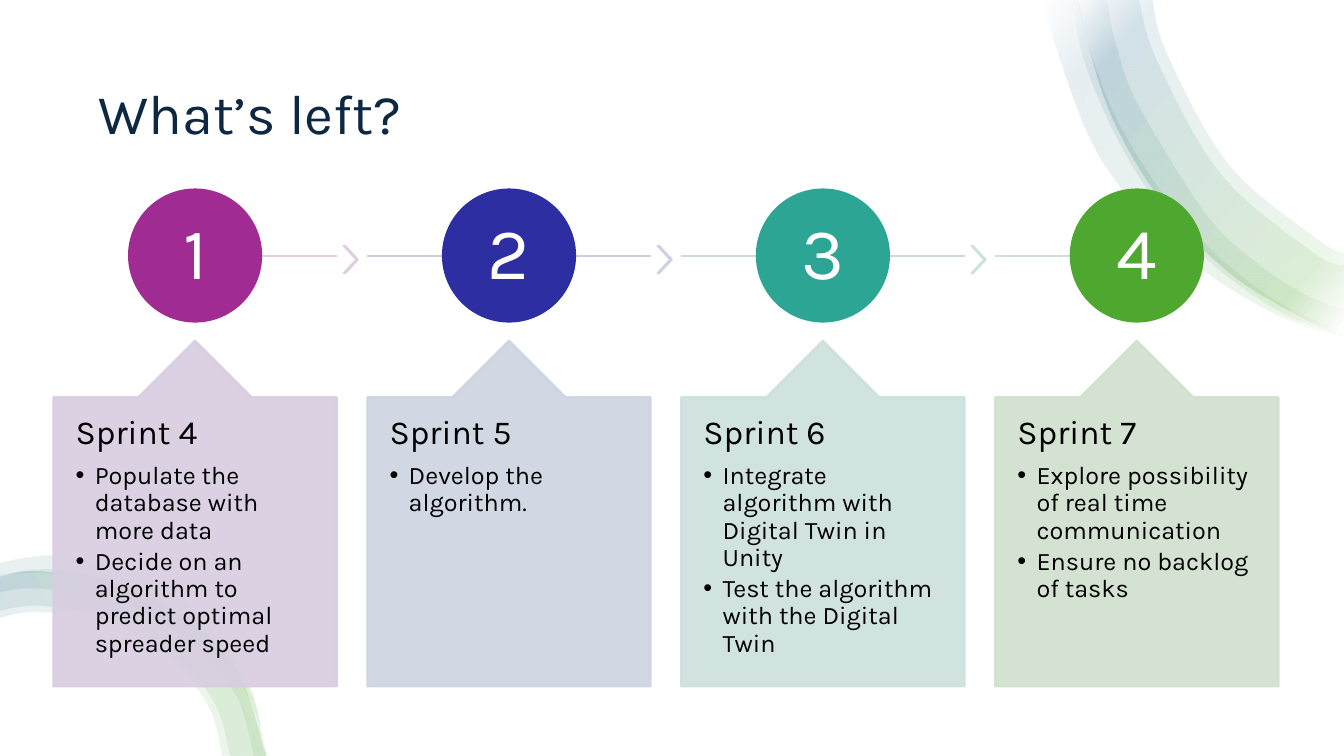
"""Build the "What's left?" slide: four numbered sprints over pale ribbons."""
from lxml.etree import SubElement
from pptx import Presentation
from pptx.dml.color import RGBColor
from pptx.enum.shapes import MSO_CONNECTOR as LINK, MSO_SHAPE as SHAPE
from pptx.enum.text import MSO_ANCHOR as ANCHOR, MSO_AUTO_SIZE as FIT, PP_ALIGN as ALIGN
from pptx.oxml import parse_xml
from pptx.oxml.ns import nsdecls, qn
from pptx.util import Inches, Pt

FONT = "Karla"
NAVY = RGBColor(0x0E, 0x28, 0x41)
BLACK = RGBColor(0, 0, 0)
WHITE = RGBColor(255, 255, 255)
PURPLE = RGBColor(0xA0, 0x2B, 0x93)
INDIGO = RGBColor(0x2C, 0x2E, 0xA2)
TEAL = RGBColor(0x2D, 0xA5, 0x94)
GREEN = RGBColor(0x4E, 0xA7, 0x2E)
BLUE = RGBColor(0x15, 0x60, 0x82)
LILAC = RGBColor(0xD8, 0xCD, 0xE0)
MIST = RGBColor(0xCD, 0xD4, 0xE0)
MINT = RGBColor(0xCD, 0xE1, 0xDC)
SAGE = RGBColor(0xD0, 0xE1, 0xCD)
LINES = [RGBColor(0xDF, 0xCD, 0xDC), RGBColor(0xD2, 0xCD, 0xE0),
         RGBColor(0xCD, 0xD9, 0xE0), RGBColor(0xCD, 0xE1, 0xD6)]
HEADS = [RGBColor(0xDD, 0xCD, 0xDF), RGBColor(0xCD, 0xCE, 0xE0),
         RGBColor(0xCD, 0xDF, 0xE0), None]

TOP = [(10.69, 0), (10.99, 1.07), (11.52, 2), (12.23, 2.74), (13.09, 3.24), (13.33, 3.32)]
LOW = [(2.63, 7.5), (2.36, 6.69), (1.85, 6.16), (1.17, 5.8), (0.4, 5.67), (0, 5.72)]
BANDS = [
    (220, [(10.38, 0), (10.41, 0.26), (10.78, 1.31), (11.16, 1.92), (11.65, 2.45),
           (12.21, 2.87), (12.82, 3.19), (13.33, 3.35)],
     [(13.33, 3.28), (12.86, 3.1), (12.3, 2.73), (11.81, 2.27), (11.4, 1.73),
      (11.06, 1.15), (10.82, 0.52), (10.7, 0)]),
    (220, TOP, [(13.33, 2.51), (13.07, 2.38), (12.19, 1.64), (11.58, 0.55), (11.43, 0)]),
    (220, [(10.65, 0), (10.74, 0.55), (10.99, 1.19), (11.32, 1.79), (11.73, 2.33),
           (12.23, 2.79), (12.79, 3.14), (13.33, 3.33)],
     [(13.33, 3.08), (12.9, 2.9), (12.39, 2.55), (11.95, 2.11), (11.29, 1.04),
      (11.07, 0.44), (10.98, 0)]),
    (220, TOP, [(13.33, 2.64), (13.01, 2.5), (12.1, 1.72), (11.47, 0.59), (11.3, 0)]),
    (160, LOW, [(0, 6.13), (0.4, 6.07), (1.07, 6.19), (1.66, 6.52), (2.06, 7), (2.2, 7.5)]),
    (160, LOW, [(0, 6.06), (0.4, 6.01), (1.09, 6.13), (1.7, 6.47), (2.12, 6.97), (2.28, 7.5)]),
    (160, [(2.63, 7.5), (2.47, 6.85), (2.03, 6.27), (1.42, 5.87), (0.69, 5.67),
           (0.31, 5.66), (0, 5.71)],
     [(0, 5.88), (0.33, 5.84), (1.01, 5.91), (1.34, 6.03), (1.92, 6.39),
      (2.34, 6.91), (2.51, 7.5)]),
    (160, [(2.64, 7.5), (2.5, 6.87), (2.33, 6.53), (1.96, 6.09), (1.48, 5.75),
           (0.71, 5.53), (0.31, 5.53), (0, 5.59)],
     [(0, 5.72), (0.32, 5.68), (0.87, 5.73), (1.39, 5.91), (2, 6.31),
      (2.36, 6.73), (2.58, 7.22), (2.62, 7.5)]),
]
STOPS = [(2, WHITE), (16, GREEN), (85, BLUE), (100, WHITE)]

SPRINTS = [
    ("Sprint 4", PURPLE, LILAC, ["Populate the database with more data",
                                 "Decide on an algorithm to predict optimal spreader speed"]),
    ("Sprint 5", INDIGO, MIST, ["Develop the algorithm."]),
    ("Sprint 6", TEAL, MINT, ["Integrate algorithm with Digital Twin in Unity",
                              "Test the algorithm with the Digital Twin"]),
    ("Sprint 7", GREEN, SAGE, ["Explore possibility of real time communication",
                               "Ensure no backlog of tasks"]),
]


def bend(legs, knots):
    """Turn straight legs between knots into cubic curves."""
    ends = [knots[0], *knots, knots[-1]]
    for leg, a, b, c, d in zip(legs, ends, ends[1:], ends[2:], ends[3:]):
        leg.tag = qn("a:cubicBezTo")
        last = leg[0]
        x, y = int(last.get("x")), int(last.get("y"))
        pulls = [[q - r + (r - p) / 6 for p, q, r in zip(a, b, c)],
                 [(q - s) / 6 for q, s in zip(b, d)]]
        pulls[0] = [q - r + (r - p) / 6 for p, q, r in zip(a, b, c)]
        for dx, dy in pulls:
            node = SubElement(leg, qn("a:pt"), x=str(x + Inches(dx)), y=str(y + Inches(dy)))
            last.addprevious(node)


def place(kind, box, tint, alpha=100):
    """Add a preset shape with fill and line of one tint."""
    item = slide.shapes.add_shape(kind, *map(Inches, box))
    item.shadow.inherit = False
    item.fill.solid()
    item.fill.fore_color.rgb = item.line.color.rgb = tint
    item.line.width = Pt(1.5)
    if alpha < 100:
        for node in item._element.spPr.iter(qn("a:srgbClr")):
            SubElement(node, qn("a:alpha"), val=str(alpha * 1000))
    return item


deck = Presentation()
deck.slide_width, deck.slide_height = Inches(13.33), Inches(7.5)
slide = deck.slides.add_slide(deck.slide_layouts[4])
title, *bodies = slide.placeholders

back = place(SHAPE.RECTANGLE, (0, 0, 13.33, 7.5), WHITE)
back.line.fill.background()
slide.shapes._spTree.insert(2, back._element)

for angle, outer, inner in BANDS:
    start, *rest = [tuple(map(Inches, knot)) for knot in outer + inner]
    pen = slide.shapes.build_freeform(*start)
    pen.add_line_segments(rest)
    band = pen.convert_to_shape()
    band.shadow.inherit = False
    band.line.fill.background()
    band.fill.background()
    props = band._element.spPr
    legs = list(props.iter(qn("a:lnTo")))
    bend(legs[:len(outer) - 1], outer)
    bend(legs[len(outer):], inner)
    stops = "".join(f'<a:gs pos="{pos * 1000}"><a:srgbClr val="{tint}"><a:alpha val="10000"/>'
                    '</a:srgbClr></a:gs>' for pos, tint in STOPS)
    props.replace(props.find(qn("a:noFill")), parse_xml(
        f'<a:gradFill {nsdecls("a")}><a:gsLst>{stops}</a:gsLst>'
        f'<a:lin ang="{angle * 60000}" scaled="0"/></a:gradFill>'))

title.left, title.top, title.width, title.height = map(Inches, (0.88, 0.5, 11.57, 1.3))
frame = title.text_frame
frame.text = "What’s left?"
frame.auto_size, frame.vertical_anchor = FIT.NONE, ANCHOR.MIDDLE
line = frame.paragraphs[0]
line.alignment, line.line_spacing = ALIGN.LEFT, 0.9
line.font.name, line.font.size, line.font.color.rgb = FONT, Pt(40), NAVY

for i, (name, dark, pale, tasks) in enumerate(SPRINTS):
    left = 0.53 + 9.34 / 3 * i
    mid = left + 1.4
    begin = left if i else mid
    end = mid if i == 3 else left + 2.81
    rule = slide.shapes.add_connector(LINK.STRAIGHT, *map(Inches, (begin, 2.54, end, 2.54)))
    rule.line.color.rgb, rule.line.width = LINES[i], Pt(1.5)
    SubElement(rule._element.spPr, qn("a:effectLst"))
    if HEADS[i]:
        head = place(SHAPE.CHEVRON, (left + 2.88, 2.44, 0.14, 0.27), HEADS[i], 90)
        head.adjustments[0] = 0.9

    disc = place(SHAPE.OVAL, (left + 0.75, 1.88, 1.31, 1.31), dark)
    frame = disc.text_frame
    frame.text = str(i + 1)
    frame.vertical_anchor = ANCHOR.MIDDLE
    for side in ("left", "right", "top", "bottom"):
        setattr(frame, f"margin_{side}", Inches(0.05))
    line = frame.paragraphs[0]
    line.alignment, line.line_spacing = ALIGN.CENTER, 0.9
    line.font.name, line.font.size, line.font.color.rgb = FONT, Pt(52), WHITE

    card = place(SHAPE.UP_ARROW_CALLOUT, (left, 3.38, 2.81, 3.43), pale, 90)
    for spot, value in enumerate((0.5, 0.2, 0.2, 1)):
        card.adjustments[spot] = value

    body = bodies[i]
    body.left, body.top, body.width, body.height = map(Inches, (left, 3.94, 2.81, 2.87))
    slide.shapes._spTree.append(body._element)
    frame = body.text_frame
    frame.text = "\n".join([name, *tasks])
    looks = {"auto_size": FIT.NONE, "vertical_anchor": ANCHOR.TOP, "word_wrap": True,
             "margin_left": Inches(0.22), "margin_right": Inches(0.22),
             "margin_top": Inches(0.18), "margin_bottom": Inches(0.18)}
    for key, value in looks.items():
        setattr(frame, key, value)
    for row, line in enumerate(frame.paragraphs):
        size, gap, dent = (18, 3, 0.19) if row else (24, 8, 0)
        line.line_spacing, line.space_before, line.space_after = 0.9, Pt(0), Pt(gap)
        props = line._p.get_or_add_pPr()
        props.set("marL", str(Inches(dent)))
        props.set("indent", str(Inches(-dent)))
        if row:
            SubElement(props, qn("a:buFont"), typeface="Arial")
            SubElement(props, qn("a:buChar"), char="•")
        else:
            SubElement(props, qn("a:buNone"))
        font = line.runs[0].font
        font.name, font.size, font.bold, font.color.rgb = FONT, Pt(size), False, BLACK

deck.save("out.pptx")
